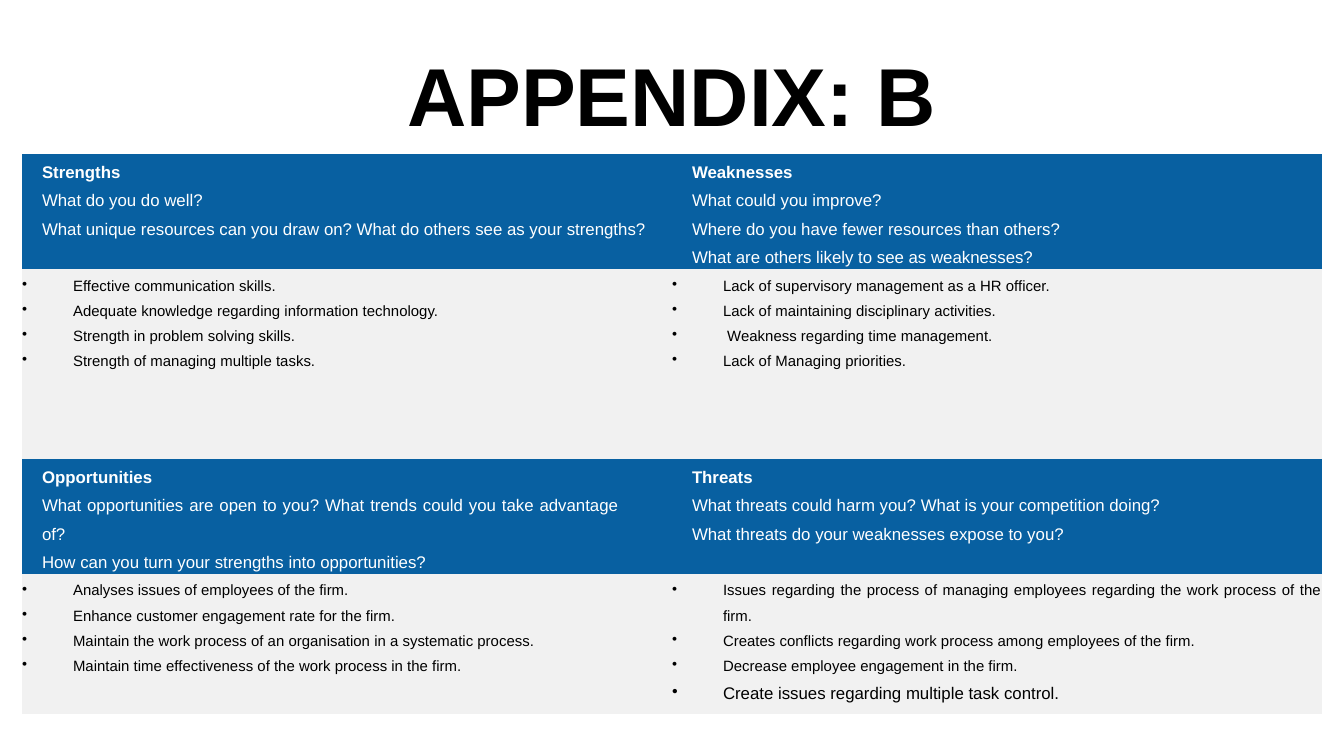
from lxml import etree
from pptx import Presentation
from pptx.dml.color import RGBColor
from pptx.enum.text import MSO_ANCHOR, PP_ALIGN
from pptx.oxml.ns import qn
from pptx.util import Pt

CENTER, JUST = PP_ALIGN.CENTER, PP_ALIGN.JUSTIFY
MIDDLE = MSO_ANCHOR.MIDDLE
PX = 914400 / 134.4
HUES = {"head": "0860A1", "body": "F1F1F1", "light": "FFFFFF", "dark": "000000"}
PLAIN = "{2D5ABB26-0587-4C30-8999-92F81FD0307C}"
COLS = [650, 650]
ROWS = [115, 190, 115, 140]
EDGES = ("margin_left", "margin_right", "margin_top", "margin_bottom")
LINE = {"alignment": JUST, "line_spacing": 1.5}

HEADS = [
    [
        ["Strengths", "What do you do well?",
         "What unique resources can you draw on? What do others see as your strengths?"],
        ["Weaknesses", "What could you improve?",
         "Where do you have fewer resources than others?",
         "What are others likely to see as weaknesses?"],
    ],
    [
        ["Opportunities",
         "What opportunities are open to you? What trends could you take advantage of?",
         "How can you turn your strengths into opportunities?"],
        ["Threats",
         "What threats could harm you? What is your competition doing?",
         "What threats do your weaknesses expose to you?"],
    ],
]
LISTS = [
    [
        ["Effective communication skills.",
         "Adequate knowledge regarding information technology.",
         "Strength in problem solving skills.",
         "Strength of managing multiple tasks."],
        ["Lack of supervisory management as a HR officer.",
         "Lack of maintaining disciplinary activities.",
         " Weakness regarding time management.",
         "Lack of Managing priorities."],
    ],
    [
        ["Analyses issues of employees of the firm.",
         "Enhance customer engagement rate for the firm.",
         "Maintain the work process of an organisation in a systematic process.",
         "Maintain time effectiveness of the work process in the firm."],
        ["Issues regarding the process of managing employees regarding the work process of the firm.",
         "Creates conflicts regarding work process among employees of the firm.",
         "Decrease employee engagement in the firm.",
         "Create issues regarding multiple task control."],
    ],
]
WIDE = {"What opportunities are open to you? What trends could you take advantage of?": 54}
LARGE = {"Create issues regarding multiple task control.": 9}


def px(num):
    return round(num * PX)


def put(obj, look):
    for key, val in look.items():
        setattr(obj, key, val)


def write(para, text, size, hue, bold=False):
    run = para.add_run()
    run.text = text
    put(run.font, {"name": "Arial", "size": Pt(size), "bold": bold})
    run.font.color.rgb = RGBColor.from_string(HUES[hue])


def lines(cell, texts):
    frame = cell.text_frame
    for num, text in enumerate(texts):
        para = frame.add_paragraph() if num else frame.paragraphs[0]
        put(para, LINE)
        yield num, text, para, para._p.get_or_add_pPr()


def paint(cell, hue):
    put(cell, dict.fromkeys(EDGES, 0))
    cell.fill.solid()
    cell.fill.fore_color.rgb = RGBColor.from_string(HUES[hue])


def head(cell, texts):
    paint(cell, "head")
    for num, text, para, props in lines(cell, texts):
        props.set("marL", str(px(20)))
        props.set("marR", str(px(WIDE.get(text, 0))))
        write(para, text, 9, "light", num == 0)


def items(cell, texts):
    paint(cell, "body")
    for num, text, para, props in lines(cell, texts):
        props.set("marL", str(px(51)))
        props.set("indent", str(px(-51)))
        etree.SubElement(props, qn("a:buChar"), char="•")
        write(para, text, LARGE.get(text, 8), "dark")


def title(slide, left, top, wide, high):
    shape = slide.shapes.title
    put(shape, {"left": px(left), "top": px(top), "width": px(wide), "height": px(high)})
    frame = shape.text_frame
    put(frame, {"word_wrap": True, "vertical_anchor": MIDDLE})
    para = frame.paragraphs[0]
    para.alignment = CENTER
    write(para, "APPENDIX: B", 44, "dark", True)


def swot(slide, left, top):
    box = [px(num) for num in (left, top, sum(COLS), sum(ROWS))]
    table = slide.shapes.add_table(len(ROWS), len(COLS), *box).table
    put(table, {"first_row": False, "horz_banding": False})
    table._tbl.tblPr.find(qn("a:tableStyleId")).text = PLAIN
    for col, wide in zip(table.columns, COLS):
        col.width = px(wide)
    for row, high in zip(table.rows, ROWS):
        row.height = px(high)
    for band in range(len(HEADS)):
        for col in range(len(COLS)):
            head(table.cell(2 * band, col), HEADS[band][col])
            items(table.cell(2 * band + 1, col), LISTS[band][col])


def main():
    deck = Presentation()
    put(deck, {"slide_width": px(1344), "slide_height": px(756)})
    slide = deck.slides.add_slide(deck.slide_layouts[5])
    title(slide, 67, 31, 1210, 126)
    swot(slide, 22, 154)
    deck.save("out.pptx")


if __name__ == "__main__":
    main()
